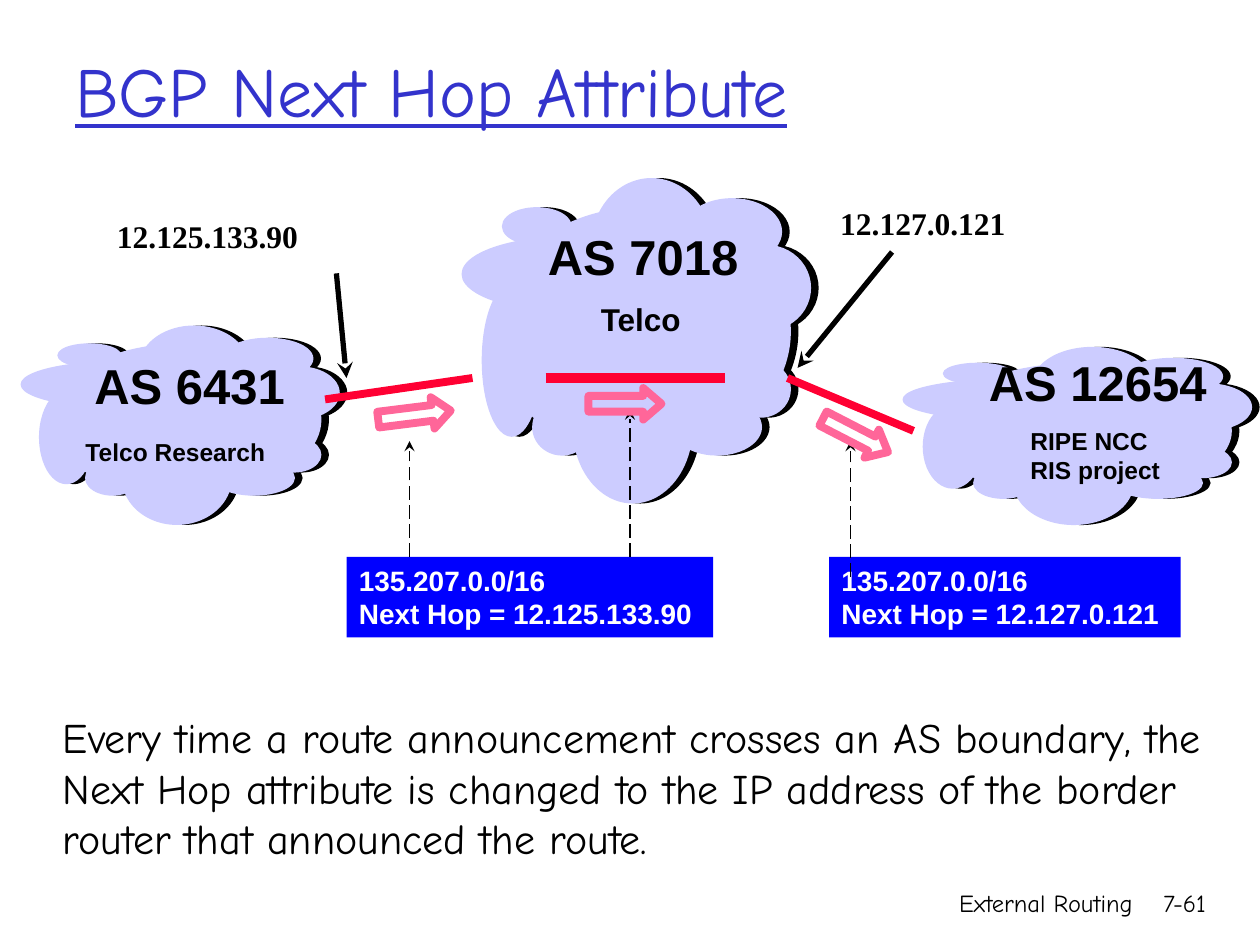
from lxml.etree import SubElement
from pptx import Presentation
from pptx.dml.color import RGBColor
from pptx.enum.dml import MSO_LINE as Dash
from pptx.enum.shapes import MSO_CONNECTOR as Conn, MSO_SHAPE as Kind
from pptx.enum.text import MSO_ANCHOR as Anchor, MSO_AUTO_SIZE as Fit, PP_ALIGN as Align
from pptx.oxml.ns import qn
from pptx.util import Inches, Pt

BLACK, WHITE, BLUE = "000000", "FFFFFF", "0000FF"
TITLE, PALE, RED, PINK = "3333CC", "CCCCFF", "FF0033", "FF6699"
SANS, SERIF, HAND = "Arial", "Times New Roman", "Comic Neue"

PUFFS = [
    (8.7, 9, 85.5, 76.3),
    (11.6, 9, 19.6, 11.3),
    (63.4, 6.2, 28.3, 20.2),
    (37.3, 0, 34.1, 40.9),
    (0, 17.9, 62.7, 23),
    (31.9, 53.3, 34.1, 46.7),
    (74.6, 20.6, 25.4, 26.1),
    (5.8, 32.7, 16.7, 46.7),
    (77.5, 56.4, 16.7, 17.1),
    (20.3, 68.1, 16.7, 17.1),
    (60.5, 68.1, 25.4, 17.1),
]


def tint(code):
    return RGBColor.from_string(code)


def place(box):
    return [Inches(n) for n in box]


def write(shape, rows, size, face, color=BLACK, bold=False, line=False,
          align=Align.LEFT, wrap=True):
    frame = shape.text_frame
    frame.word_wrap = wrap
    frame.auto_size = Fit.NONE if wrap else Fit.SHAPE_TO_FIT_TEXT
    for i, row in enumerate(rows):
        para = frame.add_paragraph() if i else frame.paragraphs[0]
        para.alignment = align
        run = para.add_run()
        run.text = row
        font = run.font
        font.size, font.name, font.bold = Pt(size), face, bold
        font.underline = line
        font.color.rgb = tint(color)
    return frame


def label(slide, box, rows, size, face=SANS, **look):
    look = {"bold": True, "wrap": False} | look
    return write(slide.shapes.add_textbox(*place(box)), rows, size, face, **look)


def cloud(slide, box):
    x, y, w, h = box
    group = slide.shapes.add_group_shape()
    for color, shift in ((BLACK, 0.06), (PALE, 0)):
        for px, py, pw, ph in PUFFS:
            spot = (x + shift + w * px / 100, y + h * py / 100,
                    w * pw / 100, h * ph / 100)
            puff = group.shapes.add_shape(Kind.OVAL, *place(spot))
            puff.shadow.inherit = False
            puff.fill.solid()
            puff.fill.fore_color.rgb = tint(color)
            puff.line.color.rgb = tint(color)
            puff.line.width = Pt(1)


def route(slide, box, hop):
    card = slide.shapes.add_shape(Kind.RECTANGLE, *place(box))
    card.shadow.inherit = False
    card.fill.solid()
    card.fill.fore_color.rgb = tint(BLUE)
    card.line.fill.background()
    frame = write(card, ["135.207.0.0/16", f"Next Hop = {hop}"], 16, SANS, WHITE, True)
    frame.vertical_anchor = Anchor.TOP


def link(slide, ends, color, width, tip=False, dash=None):
    wire = slide.shapes.add_connector(Conn.STRAIGHT, *place(ends))
    wire.line.color.rgb = tint(color)
    wire.line.width = Pt(width)
    if dash:
        wire.line.dash_style = dash
    if tip:
        SubElement(wire.line._get_or_add_ln(), qn("a:tailEnd"), type="stealth")
    SubElement(wire._element.spPr, qn("a:effectLst"))


def arrow(slide, x, y, turn):
    mark = slide.shapes.add_shape(Kind.RIGHT_ARROW, *place((x, y, 0.58, 0.25)))
    mark.shadow.inherit = False
    mark.adjustments[1] = 0.58
    mark.rotation = turn
    mark.fill.background()
    mark.line.color.rgb = tint(PINK)
    mark.line.width = Pt(4.5)


def heading(slide, box):
    frame = label(slide, box, ["BGP Next Hop Attribute"], 40, HAND, color=TITLE,
                  bold=False, line=True, wrap=True)
    frame.vertical_anchor = Anchor.MIDDLE


def network(slide):
    cloud(slide, (0.17, 2.59, 2.52, 1.57))
    label(slide, (0.65, 2.77, 1.72, 0.57), ["AS 6431"], 28)
    label(slide, (0.58, 3.42, 1.65, 0.33), ["Telco Research"], 14)
    route(slide, (2.75, 4.42, 2.91, 0.64), "12.125.133.90")

    cloud(slide, (3.67, 1.42, 2.76, 2.57))
    label(slide, (4.25, 1.75, 1.72, 0.57), ["AS 7018"], 28)
    label(slide, (4.67, 2.33, 0.94, 0.4), ["Telco"], 18)
    link(slide, (6.25, 3, 7.25, 3.42), RED, 4.5)
    link(slide, (2.58, 3.17, 3.75, 3), RED, 4.5)

    cloud(slide, (7.17, 2.76, 2.76, 1.4))
    label(slide, (7.75, 2.75, 1.93, 0.57), ["AS 12654"], 28)
    label(slide, (8.08, 3.33, 1.28, 0.57), ["RIPE NCC", "RIS project"], 14)
    link(slide, (4.33, 3, 5.75, 3), RED, 6)

    link(slide, (2.67, 2.17, 2.75, 3), BLACK, 3, True)
    label(slide, (0.83, 1.67, 2.12, 0.5), ["12.125.133.90"], 18, SERIF)
    route(slide, (6.58, 4.42, 2.79, 0.64), "12.127.0.121")
    link(slide, (7.08, 2, 6.33, 2.92), BLACK, 3, True)
    label(slide, (6.57, 1.57, 1.95, 0.5), ["12.127.0.121"], 18, SERIF)

    for x, low, high in ((3.25, 4.42, 3.5), (6.75, 4.58, 3.5), (5, 4.42, 3.25)):
        link(slide, (x, low, x, high), BLACK, 1, True, Dash.LONG_DASH)
    for x, y, turn in ((3, 3.17, 352.9), (4.67, 3.08, 0), (6.5, 3.33, 27.3)):
        arrow(slide, x, y, turn)


def summary(slide, box):
    text = ("Every time a route announcement crosses an AS boundary, the Next Hop "
            "attribute is changed to the IP address of the border router that "
            "announced the route.")
    label(slide, box, [text], 24, HAND, bold=False, wrap=True)


def footer(slide, y):
    for x, w, text in ((5.92, 3.17, "External Routing"), (8.93, 0.74, "7-61")):
        label(slide, (x, y, w, 0.5), [text], 14, HAND, bold=False, wrap=True,
              align=Align.RIGHT)


def main():
    deck = Presentation()
    deck.slide_width, deck.slide_height = Inches(10), Inches(7.5)
    slide = deck.slides.add_slide(deck.slide_layouts[6])
    heading(slide, (0.5, 0.17, 8.5, 1.08))
    summary(slide, (0.4, 5.6, 9.26, 1.31))
    network(slide)
    footer(slide, 7)
    deck.save("out.pptx")


if __name__ == "__main__":
    main()
